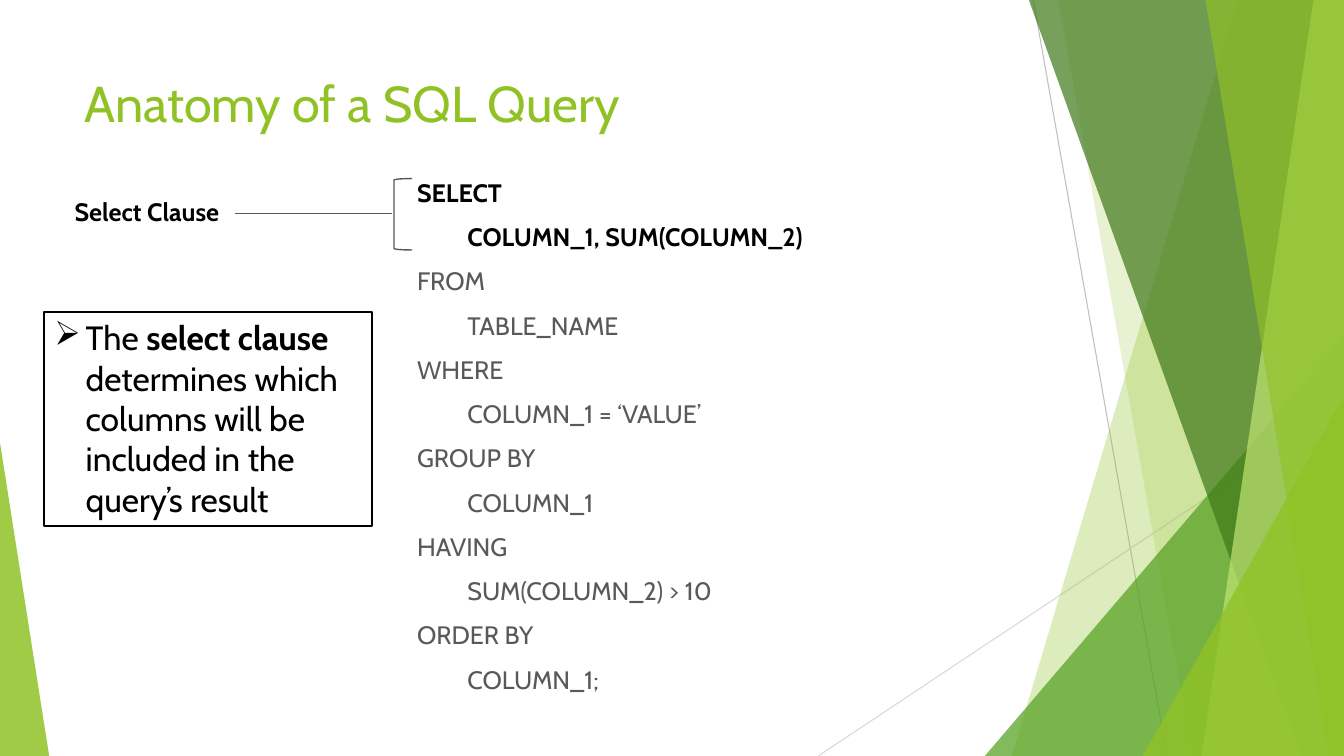
import pptx
import pptx.util
import pptx.dml.color
import pptx.enum.shapes
import pptx.enum.text
import pptx.oxml
import pptx.oxml.ns
from pptx.util import Cm

COLORS = {"lime": "90C226", "green": "54A021", "forest": "3F7819", "pale": "C0E474",
          "line": "595959", "ray": "BFBFBF", "light_ray": "D9D9D9",
          "black": "000000", "white": "FFFFFF"}
FONT = "Cabin"
WIDTH, HEIGHT = 33.87, 19.05

# Content
TITLE = "Anatomy of a SQL Query"
QUERY = [("SELECT", "COLUMN_1, SUM(COLUMN_2)"), ("FROM", "TABLE_NAME"),
         ("WHERE", "COLUMN_1 = ‘VALUE’"), ("GROUP BY", "COLUMN_1"),
         ("HAVING", "SUM(COLUMN_2) > 10"), ("ORDER BY", "COLUMN_1;")]
HIGHLIGHTED = "SELECT"
LABEL = "Select Clause"
NOTE = [("The ", False), ("select clause ", True),
        ("determines which columns will be included in the query’s result", False)]

# Background, back to front; all lengths in cm
RAYS = [((26.04, 0), (29.41, HEIGHT), "ray"), ((WIDTH, 10.24), (20.62, HEIGHT), "light_ray")]
# band: top x, bottom x; triangle: left, top, width, peak position
FACETS = [("band", (31.19, 25.5), "lime", 30), ("band", (26.67, 30.05), "lime", 20),
          ("triangle", (24.82, 8.46, 9.05, 1), "green", 72),
          ("band", (25.93, 32.79), "forest", 70), ("band", (33.1, 30.28), "pale", 70),
          ("band", (30.38, 33.48), "lime", 65),
          ("triangle", (28.8, 9.98, 5.07, 1), "lime", 80),
          ("triangle", (0, 11.15, 1.24, 0), "lime", 85)]

deck = pptx.Presentation()
deck.slide_width, deck.slide_height = Cm(WIDTH), Cm(HEIGHT)
page = deck.slides.add_slide(deck.slide_layouts[6])
SHAPES = pptx.enum.shapes.MSO_SHAPE


def rgb(name):
    return pptx.dml.color.RGBColor.from_string(COLORS[name])


def add_line(start, end, color, points):
    line = page.shapes.add_connector(pptx.enum.shapes.MSO_CONNECTOR.STRAIGHT,
                                     *map(Cm, start + end))
    line.line.color.rgb = rgb(color)
    line.line.width = pptx.util.Pt(points)
    line._element.spPr.append(pptx.oxml.parse_xml(
        f'<a:effectLst {pptx.oxml.ns.nsdecls("a")}/>'))


def add_preset(kind, place):
    shape = page.shapes.add_shape(kind, *map(Cm, place))
    shape.shadow.inherit = False
    return shape


def add_facet(kind, geometry, color, opacity):
    if kind == "band":
        top, bottom = geometry
        builder = page.shapes.build_freeform(Cm(top), 0)
        builder.add_line_segments([(Cm(x), Cm(y)) for x, y in
                                   [(WIDTH, 0), (WIDTH, HEIGHT), (bottom, HEIGHT)]])
        facet = builder.convert_to_shape()
        facet.shadow.inherit = False
    else:
        left, top, width, peak = geometry
        facet = add_preset(SHAPES.ISOSCELES_TRIANGLE, (left, top, width, HEIGHT - top))
        facet.adjustments[0] = peak
    facet.fill.solid()
    facet.fill.fore_color.rgb = rgb(color)
    facet.line.fill.background()
    fill_color = facet._element.spPr.find(".//" + pptx.oxml.ns.qn("a:srgbClr"))
    fill_color.append(pptx.oxml.parse_xml(
        f'<a:alpha {pptx.oxml.ns.nsdecls("a")} val="{opacity * 1000}"/>'))


def add_text(place):
    box = page.shapes.add_textbox(*map(Cm, place))
    box.text_frame.word_wrap = True
    return box.text_frame


def style(span, size, color, bold=False):
    span.font.name, span.font.size, span.font.bold = FONT, pptx.util.Pt(size), bold
    span.font.color.rgb = rgb(color)


# Background rays and facets
for start, end, color in RAYS:
    add_line(start, end, color, 0.75)
for facet in FACETS:
    add_facet(*facet)

# Title
title = add_text((1.88, 1.7, 23.88, 3.66))
title.text = TITLE
style(title.paragraphs[0].runs[0], 36, "lime")

# Query: each keyword followed by its indented argument
query = add_text((10.26, 4.34, 10.49, 11.46))
query.text = "\n".join(text for clause in QUERY for text in clause)
for index, para in enumerate(query.paragraphs):
    keyword = QUERY[index // 2][0]
    para.space_before = pptx.util.Pt(10)
    if index % 2:
        para._p.get_or_add_pPr().set("marL", str(Cm(1.27)))
    bold = keyword == HIGHLIGHTED
    style(para.runs[0], 18, "black" if bold else "line", bold)

# Bracket, leader and label of the select clause
bracket = add_preset(SHAPES.LEFT_BRACKET, (9.93, 4.5, 0.46, 1.8))
bracket.fill.background()
bracket.line.color.rgb = rgb("line")
bracket.line.width = pptx.util.Pt(1)
add_line((5.92, 5.38), (9.88, 5.38), "line", 1)
label = add_text((1.63, 4.83, 4.57, 1.02))
label.text = LABEL
style(label.paragraphs[0].runs[0], 18, "black", True)

# Explanation box
note = add_preset(SHAPES.RECTANGLE, (1.12, 7.87, 8.26, 5.38))
note.fill.solid()
note.fill.fore_color.rgb = rgb("white")
note.line.color.rgb = rgb("black")
note.line.width = pptx.util.Pt(1.5)
note.text_frame.word_wrap = True
note.text_frame.vertical_anchor = pptx.enum.text.MSO_ANCHOR.TOP
para = note.text_frame.paragraphs[0]
para.alignment = pptx.enum.text.PP_ALIGN.LEFT
bullet = para._p.get_or_add_pPr()
bullet.set("marL", str(Cm(0.79)))
bullet.set("indent", str(-Cm(0.79)))
bullet.append(pptx.oxml.parse_xml(f'<a:buChar {pptx.oxml.ns.nsdecls("a")} char="➢"/>'))
for text, bold in NOTE:
    span = para.add_run()
    span.text = text
    style(span, 24, "black", bold)

deck.save("out.pptx")
